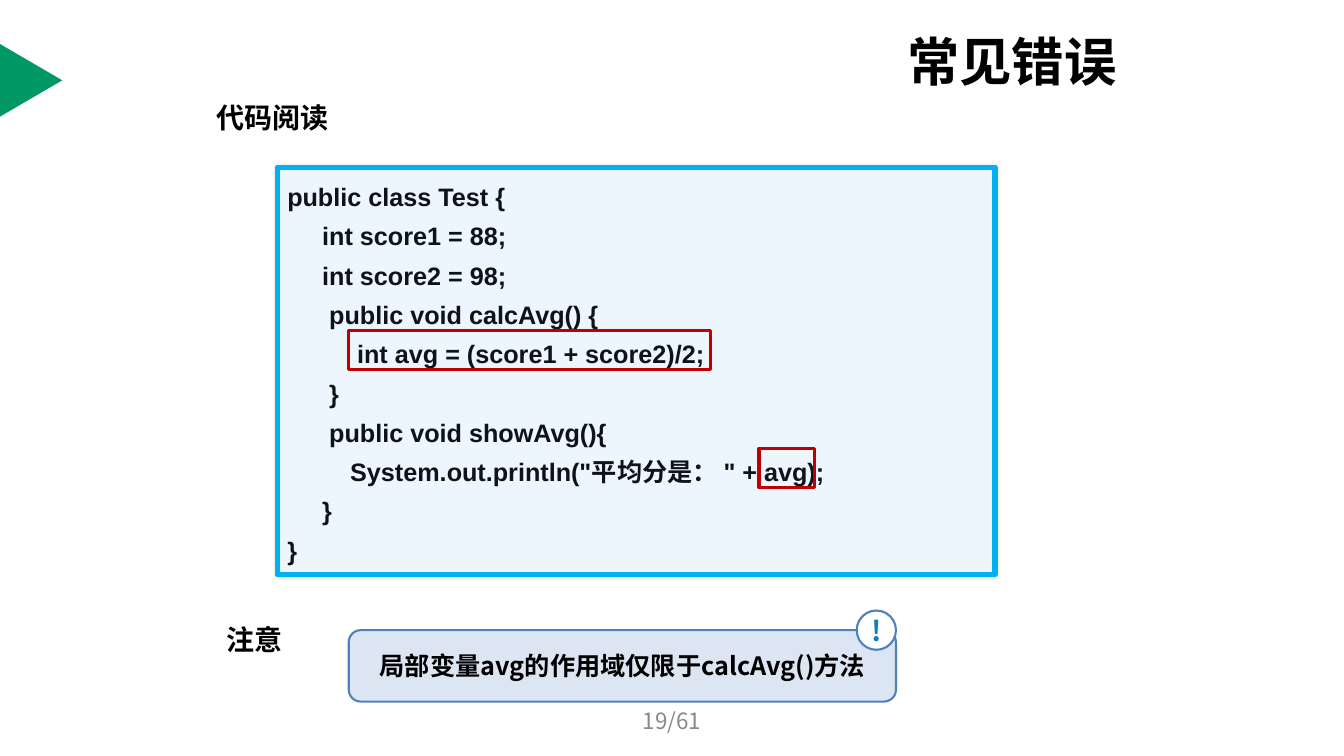
from lxml import etree
from pptx import Presentation
from pptx.dml.color import RGBColor
from pptx.enum.shapes import MSO_SHAPE
from pptx.enum.text import MSO_ANCHOR, PP_ALIGN
from pptx.oxml.ns import qn
from pptx.util import Cm, Pt

RECT, ROUND, OVAL = MSO_SHAPE.RECTANGLE, MSO_SHAPE.ROUNDED_RECTANGLE, MSO_SHAPE.OVAL
TRIANGLE = MSO_SHAPE.ISOSCELES_TRIANGLE
LEFT, CENTER = PP_ALIGN.LEFT, PP_ALIGN.CENTER
TOP, MIDDLE = MSO_ANCHOR.TOP, MSO_ANCHOR.MIDDLE
CJK = "Noto Sans CJK SC"

TITLE = "常见错误"
CODE = [
    "public class Test {",
    "     int score1 = 88;",
    "     int score2 = 98;",
    "      public void calcAvg() {",
    "          int avg = (score1 + score2)/2;",
    "      }",
    "      public void showAvg(){",
    "         System.out.println(\"平均分是： \" + avg);",
    "     }",
    "}",
]
NOTE = "局部变量avg的作用域仅限于calcAvg()方法"
PAGE = "19/61"
# Boxes are left, top, width, height in cm
HEADINGS = [("代码阅读", (5.21, 2.39, 3.38, 1.12)), ("注意", (5.46, 15.54, 1.96, 1.12))]
ERROR_MARKS = [(19.13, 11.3, 1.4, 0.99), (8.79, 8.33, 9.12, 0.99)]
CODE_BOX = (6.99, 4.22, 18.08, 10.26)
NOTE_BOX = (8.79, 15.88, 13.79, 1.8)
BADGE = 0.99


def color(value):
    return RGBColor.from_string(value)


def add_shadow(effects, blur, dist, alpha):
    shadow = etree.SubElement(effects, qn("a:outerShdw"), blurRad=str(Pt(blur)),
                              dist=str(Pt(dist)), dir="2700000", algn="ctr", rotWithShape="0")
    black = etree.SubElement(shadow, qn("a:srgbClr"), val="000000")
    etree.SubElement(black, qn("a:alpha"), val=str(alpha * 1000))


def write(sp, text, size=18, bold=True, fill="000000", font=CJK, align=LEFT,
          anchor=MIDDLE, spacing=None, wrap=True, margin=0.25, shadow=False):
    tf = sp.text_frame
    tf.word_wrap, tf.vertical_anchor = wrap, anchor
    tf.margin_left = tf.margin_right = Cm(margin)
    tf.margin_top = tf.margin_bottom = Cm(margin / 2)
    for i, line in enumerate(text.split("\n")):
        p = tf.add_paragraph() if i else tf.paragraphs[0]
        p.alignment, p.line_spacing = align, spacing
        r = p.add_run()
        r.text = line
        r.font.size, r.font.bold = Pt(size), bold
        r.font.color.rgb = color(fill)
        r.font.name = font
        rpr = r.font._element
        rpr.find(qn("a:latin")).addnext(etree.Element(qn("a:ea"), typeface=CJK))
        if shadow:
            effects = etree.Element(qn("a:effectLst"))
            rpr.find(qn("a:solidFill")).addnext(effects)
            add_shadow(effects, 3, 2, 45)


def add_box(s, kind, box, fill=None, line=None, width=1.5, radius=None):
    sp = s.shapes.add_shape(kind, *map(Cm, box))
    sp.shadow.inherit = False
    if radius is not None:
        sp.adjustments[0] = radius
    if fill:
        sp.fill.solid()
        sp.fill.fore_color.rgb = color(fill)
    else:
        sp.fill.background()
    if line:
        sp.line.color.rgb = color(line)
        sp.line.width = Pt(width)
    else:
        sp.line.fill.background()
    return sp


def add_text(s, box, text, **fmt):
    write(s.shapes.add_textbox(*map(Cm, box)), text, **fmt)


prs = Presentation()
prs.slide_width, prs.slide_height = Cm(33.87), Cm(19.05)
s = prs.slides.add_slide(prs.slide_layouts[5])

title = s.shapes.title
title.left, title.top, title.width, title.height = map(Cm, (22.61, 0.79, 6.53, 1.45))
write(title, TITLE, size=37.4, wrap=False)

add_box(s, TRIANGLE, (-0.13, 1.24, 1.83, 1.57), fill="009966").rotation = 90

code = add_box(s, ROUND, CODE_BOX, fill="EDF5FD", line="00B0F0", width=4, radius=0)
add_shadow(code._element.spPr.find(qn("a:effectLst")), 3, 0, 10)
write(code, "\n".join(CODE), fill="0D121B", font="Arial", anchor=TOP, spacing=1.3)
for box in ERROR_MARKS:
    add_box(s, RECT, box, line="C00000", width=2.25)

for text, box in HEADINGS:
    add_text(s, box, text, size=20, wrap=False, shadow=True)

note = add_box(s, ROUND, NOTE_BOX, fill="DCE6F2", line="4F81BD", radius=0.167)
write(note, NOTE, align=CENTER)
left, top, width, _ = NOTE_BOX
badge = add_box(s, OVAL, (left + width - BADGE, top - BADGE / 2, BADGE, BADGE),
                fill="FFFFFF", line="4F81BD")
write(badge, "!", size=20, fill="0C83B8", align=CENTER, margin=0)

add_text(s, (11.58, 17.65, 10.72, 1.02), PAGE, size=16, bold=False, fill="898989", align=CENTER)

prs.save("out.pptx")
